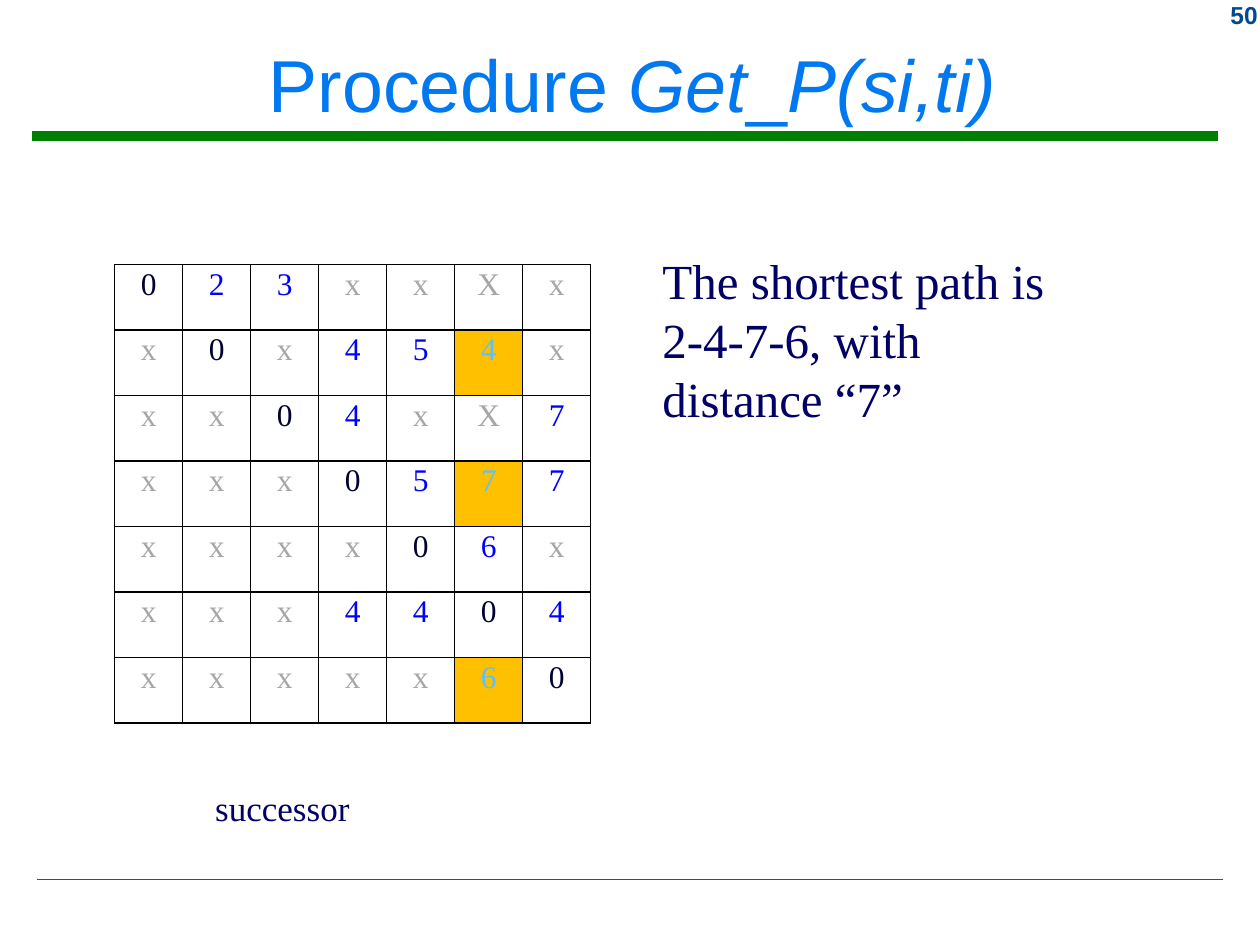
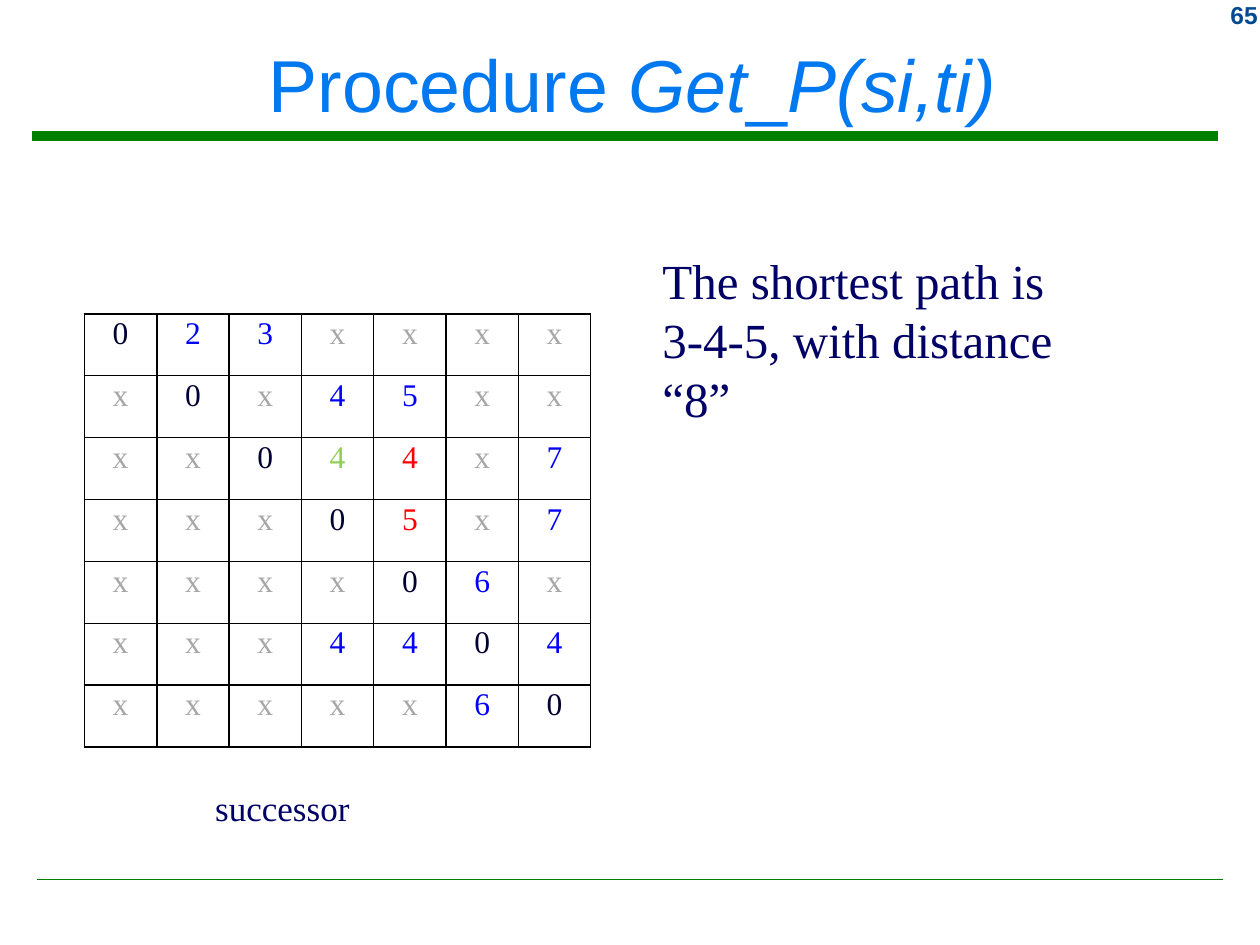
import pptx
import pptx.dml.color
import pptx.enum.shapes
import pptx.enum.text
import pptx.oxml.ns
import pptx.util
import lxml.etree
from dataclasses import dataclass, field

Pt = pptx.util.Pt
RGB = pptx.dml.color.RGBColor.from_string
Align = pptx.enum.text.PP_ALIGN
Anchor = pptx.enum.text.MSO_ANCHOR
Fit = pptx.enum.text.MSO_AUTO_SIZE
qn = pptx.oxml.ns.qn


@dataclass
class Theme:
    rule: str = "008000"
    grid: str = "000000"
    paper: str = "FFFFFF"
    gold: str = "FFC000"
    ink: dict = field(default_factory=lambda: {
        "title": "0078F0", "page": "004992", "text": "000066",
        "zero": "000033", "none": "A6A6A6", "hop": "0000FF",
        "path": "59C1FF", "first": "92D050", "new": "FF0000"})
    fonts: dict = field(default_factory=lambda: {
        "title": {"name": "Arial", "size": Pt(42)},
        "page": {"name": "Arial", "size": Pt(14), "bold": True},
        "body": {"name": "Times New Roman", "size": Pt(28)},
        "label": {"name": "Times New Roman", "size": Pt(20)},
        "cell": {"name": "Times New Roman", "size": Pt(18)}})


def apply(target, values):
    for name, value in values.items():
        setattr(target, name, value)


class Deck:
    def __init__(self, theme):
        self.theme = theme
        self.prs = pptx.Presentation()
        apply(self.prs, {"slide_width": Pt(720), "slide_height": Pt(540)})
        self.slide = None

    def add_slide(self, page):
        self.slide = self.prs.slides.add_slide(self.prs.slide_layouts[6])
        self.line(18, 696, 77.76, 5.25)
        self.line(20.88, 699.12, 502.56, 1)
        self.text((660.24, -3.6, 65.52, 23.76), [(str(page), False)],
                  "page", "page", Align.RIGHT)
        self.text((8.64, 9.36, 705.6, 76.32),
                  [("Procedure ", False), ("Get", True), ("_", False), ("P(si,ti)", True)],
                  "title", "title", Align.CENTER, anchor=Anchor.MIDDLE, fit=Fit.NONE)

    def line(self, left, right, top, width):
        kind = pptx.enum.shapes.MSO_CONNECTOR.STRAIGHT
        rule = self.slide.shapes.add_connector(kind, Pt(left), Pt(top), Pt(right), Pt(top))
        rule.line.color.rgb = RGB(self.theme.rule)
        rule.line.width = Pt(width)
        lxml.etree.SubElement(rule._element.spPr, qn("a:effectLst"))

    def fill_para(self, para, runs, font, ink, align):
        """Fill a paragraph with (text, italic) runs."""
        para.alignment = align
        for words, slant in runs:
            run = para.add_run()
            run.text = words
            apply(run.font, {**self.theme.fonts[font], "italic": slant})
            run.font.color.rgb = RGB(self.theme.ink[ink])

    def text(self, box, runs, font, ink="text", align=Align.LEFT,
             wrap=True, anchor=Anchor.TOP, fit=Fit.SHAPE_TO_FIT_TEXT):
        frame = self.slide.shapes.add_textbox(*map(Pt, box)).text_frame
        apply(frame, {"word_wrap": wrap, "vertical_anchor": anchor, "auto_size": fit})
        self.fill_para(frame.paragraphs[0], runs, font, ink, align)

    def border(self, cell):
        props = cell._tc.get_or_add_tcPr()
        for side in ("a:lnL", "a:lnR", "a:lnT", "a:lnB"):
            edge = lxml.etree.SubElement(props, qn(side), w=str(Pt(1)))
            fill = lxml.etree.SubElement(edge, qn("a:solidFill"))
            lxml.etree.SubElement(fill, qn("a:srgbClr"), val=self.theme.grid)

    def table(self, box, rows, marks):
        """Draw the matrix; marks maps (row, column) to a special ink."""
        grid = [row.split() for row in rows]
        table = self.slide.shapes.add_table(len(grid), len(grid[0]), *map(Pt, box)).table
        apply(table, {"first_row": False, "horz_banding": False})
        inset = {"margin_left": Pt(3.6), "margin_right": Pt(3.6),
                 "margin_top": Pt(1.44), "margin_bottom": Pt(1.44)}
        plain = {"0": "zero", "x": "none", "X": "none"}
        for r, row in enumerate(grid):
            for c, value in enumerate(row):
                cell = table.cell(r, c)
                ink = marks.get((r, c), plain.get(value, "hop"))
                apply(cell, inset)
                self.border(cell)
                cell.fill.solid()
                back = self.theme.gold if ink == "path" else self.theme.paper
                cell.fill.fore_color.rgb = RGB(back)
                self.fill_para(cell.text_frame.paragraphs[0], [(value, False)],
                               "cell", ink, Align.CENTER)

    def result(self, page, words, box, rows, marks):
        """Add a slide with a successor matrix and the path found in it."""
        self.add_slide(page)
        self.text((115.92, 445.68, 92.16, 31.68), [("successor", False)], "label", wrap=False)
        self.text((371.52, 139.68, 254.88, 108.72), [(words, False)], "body")
        self.table(box, rows, marks)


def main():
    deck = Deck(Theme())
    deck.result(
        50, "The shortest path is 2-4-7-6, with distance “7”",
        (65.52, 151.2, 272.16, 262.08),
        ["0 2 3 x x X x",
         "x 0 x 4 5 4 x",
         "x x 0 4 x X 7",
         "x x x 0 5 7 7",
         "x x x x 0 6 x",
         "x x x 4 4 0 4",
         "x x x x x 6 0"],
        {(1, 5): "path", (3, 5): "path", (6, 5): "path"})
    deck.result(
        65, "The shortest path is 3-4-5, with distance “8”",
        (48.24, 179.28, 289.44, 247.68),
        ["0 2 3 x x x x",
         "x 0 x 4 5 x x",
         "x x 0 4 4 x 7",
         "x x x 0 5 x 7",
         "x x x x 0 6 x",
         "x x x 4 4 0 4",
         "x x x x x 6 0"],
        {(2, 3): "first", (2, 4): "new", (3, 4): "new"})
    deck.prs.save("out.pptx")


if __name__ == "__main__":
    main()
